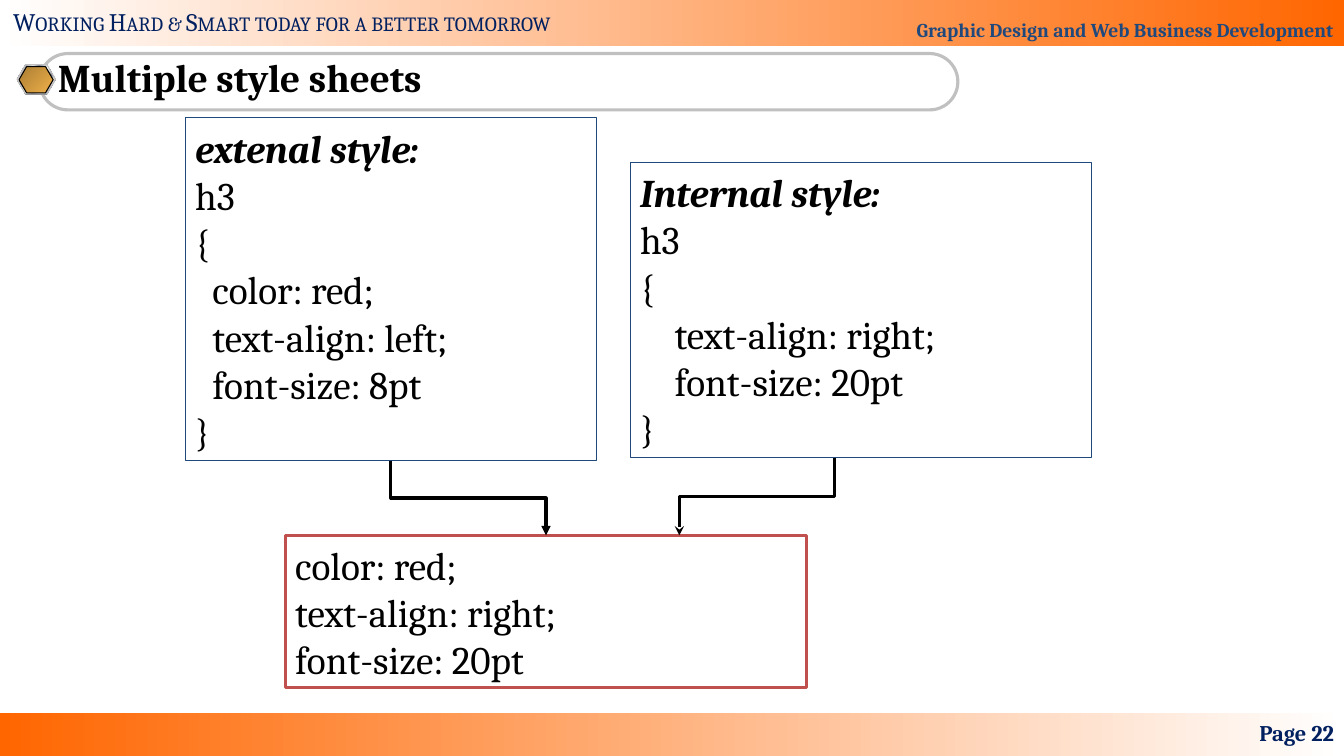
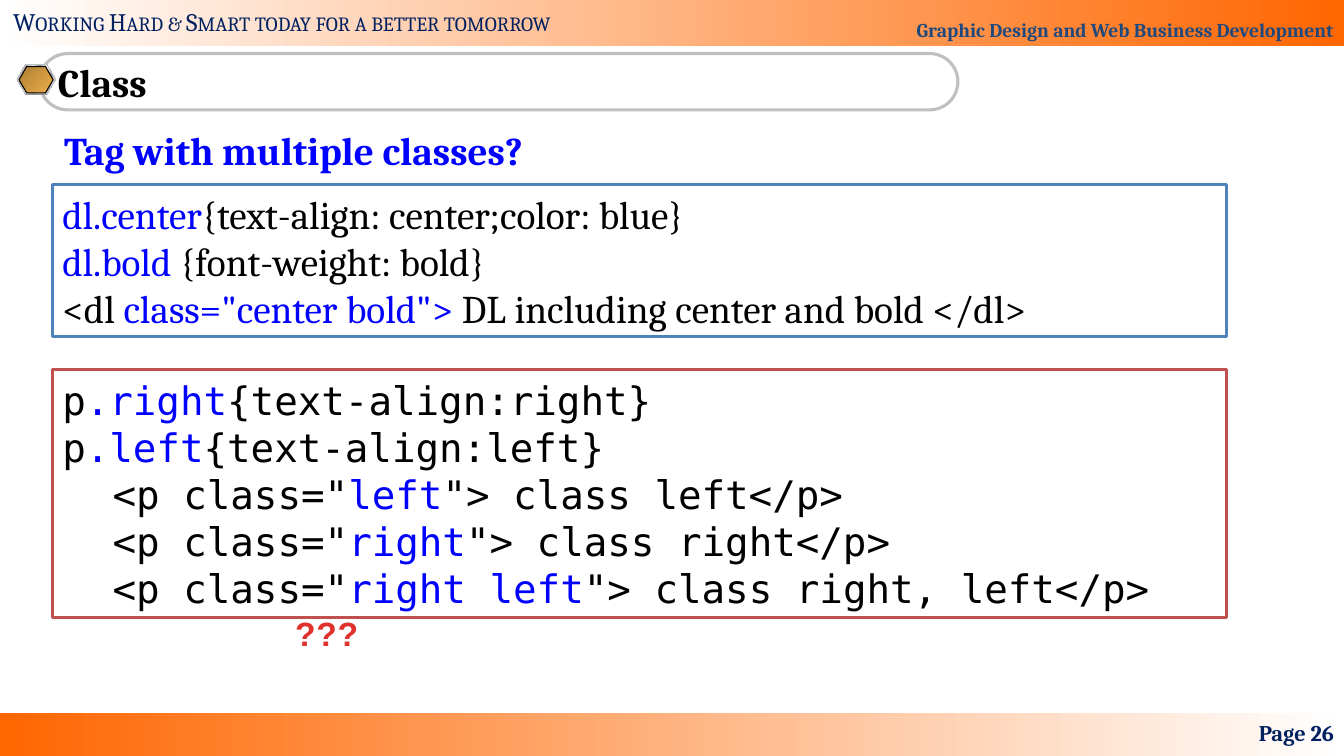
from lxml.etree import SubElement
from pptx import Presentation
from pptx.dml.color import RGBColor
from pptx.enum.shapes import MSO_CONNECTOR, MSO_SHAPE
from pptx.enum.text import MSO_ANCHOR, MSO_AUTO_SIZE, PP_ALIGN
from pptx.oxml.ns import qn
from pptx.util import Cm, Pt

WIDTH, HEIGHT = 33.87, 19.05
ORANGE, WHITE, BLACK = "FF6600", "FFFFFF", "000000"
NAVY, DARK_BLUE, BLUE = "002060", "1F497D", "0000FF"
SILVER, GREY, RED, STEEL = "C0C0C0", "808080", "C0504D", "4F81BD"
CHROME = [(0, "E6E6E6"), (7, "7D8496"), (26, "E6E6E6"), (34, "7D8496"),
          (46, "E6E6E6"), (50, WHITE), (54, "E6E6E6"), (66, "7D8496"),
          (74, "E6E6E6"), (93, "7D8496"), (100, "E6E6E6")]
GOLD = [(0, "AB7E34"), (100, "EFB049")]
FADE = [(0, WHITE), (100, ORANGE)]
FADE_BACK = [(0, ORANGE), (100, WHITE)]
WARNING = [(25, "E0322D"), (100, "A2201C")]

BODY = {"name": "Cambria", "size": Pt(28), "color": BLACK}
CODE = BODY | {"name": "DejaVu Sans Mono"}
BOLD = BODY | {"bold": True}
HEADING = BOLD | {"italic": True}
BANNER = BOLD | {"size": Pt(14), "color": DARK_BLUE}
MOTTO = BODY | {"size": Pt(18), "color": NAVY}
PAGE_NUMBER = BOLD | {"size": Pt(16), "color": NAVY}
QUESTION = {"name": "Arial", "size": Pt(24), "bold": True}


def rgb(value):
    return RGBColor.from_string(value)


def fill_gradient(fill, owner, stops, angle=0):
    """Fill with (percent, colour) stops; owner is the XML parent of the fill."""
    fill.gradient()
    fill.gradient_angle = (360 - angle) % 360
    stop_list = owner.find(qn("a:gradFill")).find(qn("a:gsLst"))
    stop_list.clear()
    for percent, value in stops:
        stop = SubElement(stop_list, qn("a:gs"), pos=str(percent * 1000))
        SubElement(stop, qn("a:srgbClr"), val=value)


def add_span(para, text, formats):
    span = para.add_run()
    span.text = text
    for name, value in formats.items():
        if name == "color":
            span.font.color.rgb = rgb(value)
        else:
            setattr(span.font, name, value)
    return span


def prepare_frame(box, anchor=MSO_ANCHOR.TOP, grow=False):
    frame = box.text_frame
    frame.word_wrap = True
    frame.vertical_anchor = anchor
    frame.auto_size = MSO_AUTO_SIZE.SHAPE_TO_FIT_TEXT if grow else MSO_AUTO_SIZE.NONE
    return frame


def add_lines(frame, lines, formats, first=None):
    """Write lines; in a line given as a list, every second piece is blue."""
    for index, line in enumerate(lines):
        para = frame.add_paragraph() if index else frame.paragraphs[0]
        para.alignment = PP_ALIGN.LEFT
        style = first if first and index == 0 else formats
        pieces = [line] if isinstance(line, str) else line
        for position, piece in enumerate(pieces):
            if piece:
                add_span(para, piece,
                         style | {"color": BLUE} if position % 2 else style)


def add_label(page, place, text, formats, anchor=MSO_ANCHOR.TOP, align=PP_ALIGN.LEFT):
    box = page.shapes.add_textbox(*map(Cm, place))
    para = prepare_frame(box, anchor).paragraphs[0]
    para.alignment = align
    return add_span(para, text, formats)


def add_box(page, kind, place, fill=None, line=None, weight=0.75, angle=0):
    """Fill is a colour, a list of gradient stops or None."""
    box = page.shapes.add_shape(kind, *map(Cm, place))
    box.shadow.inherit = False
    if fill is None:
        box.fill.background()
    elif isinstance(fill, str):
        box.fill.solid()
        box.fill.fore_color.rgb = rgb(fill)
    else:
        fill_gradient(box.fill, box._element.spPr, fill, angle)
    if line:
        box.line.color.rgb = rgb(line)
        box.line.width = Pt(weight)
    else:
        box.line.fill.background()
    return box


def add_panel(page, place, lines, formats=BODY, first=None, fill=None,
              line=DARK_BLUE, weight=0.75):
    panel = add_box(page, MSO_SHAPE.RECTANGLE, place, fill, line, weight)
    frame = prepare_frame(panel, MSO_ANCHOR.MIDDLE, grow=True)
    add_lines(frame, lines, formats, first)
    return frame


def add_drop_arrow(page, start, end, head):
    """Elbow arrow that leaves downwards, runs sideways and arrives downwards."""
    (x1, y1), (x2, y2) = start, end
    middle_x, middle_y = (x1 + x2) / 2, (y1 + y2) / 2
    half_drop, half_run = (y2 - y1) / 2, abs(x2 - x1) / 2
    arrow = page.shapes.add_connector(
        MSO_CONNECTOR.ELBOW,
        Cm(middle_x - half_drop), Cm(middle_y - half_run),
        Cm(middle_x + half_drop), Cm(middle_y + half_run))
    properties = arrow._element.spPr
    turn = {"rot": "16200000", "flipH": "1"} if x2 > x1 else {"rot": "5400000"}
    for name, value in turn.items():
        properties.xfrm.set(name, value)
    arrow.line.color.rgb = rgb(BLACK)
    arrow.line.width = Pt(2.25)
    SubElement(properties.find(qn("a:ln")), qn("a:tailEnd"), type=head)
    SubElement(properties, qn("a:effectLst"))


def add_bands(page):
    add_box(page, MSO_SHAPE.RECTANGLE, (0, 17.96, WIDTH, 1.09), FADE_BACK)
    banner = add_box(page, MSO_SHAPE.RECTANGLE, (0, 0, WIDTH, 1.17), FADE)
    para = prepare_frame(banner, MSO_ANCHOR.BOTTOM, grow=True).paragraphs[0]
    para.alignment = PP_ALIGN.RIGHT
    para.line_spacing = 1.8
    add_span(para, "Graphic Design and Web Business Development", BANNER)
    motto = add_label(page, (0.08, 0.03, 15, 1.02),
                      "Working Hard & Smart today for a better tomorrow", MOTTO)
    motto._r.get_or_add_rPr().set("cap", "small")


def add_title(page, title, spacing):
    pill = add_box(page, MSO_SHAPE.ROUNDED_RECTANGLE, (1, 1.35, 23.14, 1.42),
                   line=SILVER, weight=2.25)
    pill.adjustments[0] = 0.5
    frame = prepare_frame(pill, MSO_ANCHOR.MIDDLE)
    add_lines(frame, [title], BOLD)
    frame.paragraphs[0].line_spacing = spacing
    for place, fill, line in [((0.43, 1.65, 0.97, 0.74), GREY, None),
                              ((0.43, 1.63, 0.97, 0.74), CHROME, SILVER),
                              ((0.48, 1.68, 0.86, 0.66), GOLD, BLACK)]:
        gem = add_box(page, MSO_SHAPE.HEXAGON, place, fill, line, angle=45)
        gem.adjustments[0] = 0.29


def add_page(deck, title, number, spacing=1.0):
    page = deck.slides.add_slide(deck.slide_layouts[6])
    add_bands(page)
    add_title(page, title, spacing)
    add_label(page, (25.96, 17.96, 7.91, 1.02), f"Page {number}", PAGE_NUMBER,
              MSO_ANCHOR.MIDDLE, PP_ALIGN.RIGHT)
    return page


def build_style_sheets(deck):
    page = add_page(deck, "Multiple style sheets", 22, spacing=0.8)
    add_panel(page, (4.67, 2.97, 10.36, 8.64),
              ["extenal style:", "h3", "{", "  color: red;", "  text-align: left;",
               "  font-size: 8pt", "}"], first=HEADING)
    add_panel(page, (15.88, 4.09, 11.63, 7.44),
              ["Internal style:", "h3", "{", "    text-align: right;",
               "    font-size: 20pt", "}"], first=HEADING)
    add_panel(page, (7.19, 13.49, 13.13, 3.84),
              ["color: red;", "text-align: right;", "font-size: 20pt"],
              fill=WHITE, line=RED, weight=2)
    add_drop_arrow(page, (9.85, 11.61), (13.76, 13.49), "triangle")
    add_drop_arrow(page, (21.03, 11.53), (17.12, 13.49), "stealth")


def build_classes(deck):
    page = add_page(deck, "Class", 26)
    add_label(page, (1.37, 3.05, 31.75, 1.5), "Tag with multiple classes?",
              BOLD | {"color": BLUE})
    add_panel(page, (1.32, 4.65, 29.59, 3.84),
              [["", "dl.center", "{text-align: center;color: blue}"],
               ["", "dl.bold", " {font-weight: bold}"],
               ["<dl ", 'class="center bold"> ', "DL including center and bold </dl>"]],
              fill=WHITE, line=STEEL, weight=2)
    frame = add_panel(page, (1.32, 9.32, 29.59, 6.25),
                      [["p", ".right", "{text-align:right}"],
                       ["p", ".left", "{text-align:left}"],
                       ['<p class="', "left", '"> class left</p>'],
                       ['<p class="', "right", '"> class right</p>'],
                       ['<p class="', "right left", '"> class right, left</p>']],
                      CODE, fill=WHITE, line=RED, weight=2)
    for para in frame.paragraphs[2:]:
        para._p.get_or_add_pPr().set("marL", str(Cm(1.27)))
    question = add_label(page, (7.19, 15.32, 2.64, 1.3), "???", QUESTION)
    properties = question._r.get_or_add_rPr()
    properties.set("spc", "50")
    fill_gradient(question.font.fill, properties, WARNING, 90)


def main():
    deck = Presentation()
    deck.slide_width, deck.slide_height = Cm(WIDTH), Cm(HEIGHT)
    build_style_sheets(deck)
    build_classes(deck)
    deck.save("out.pptx")


if __name__ == "__main__":
    main()
